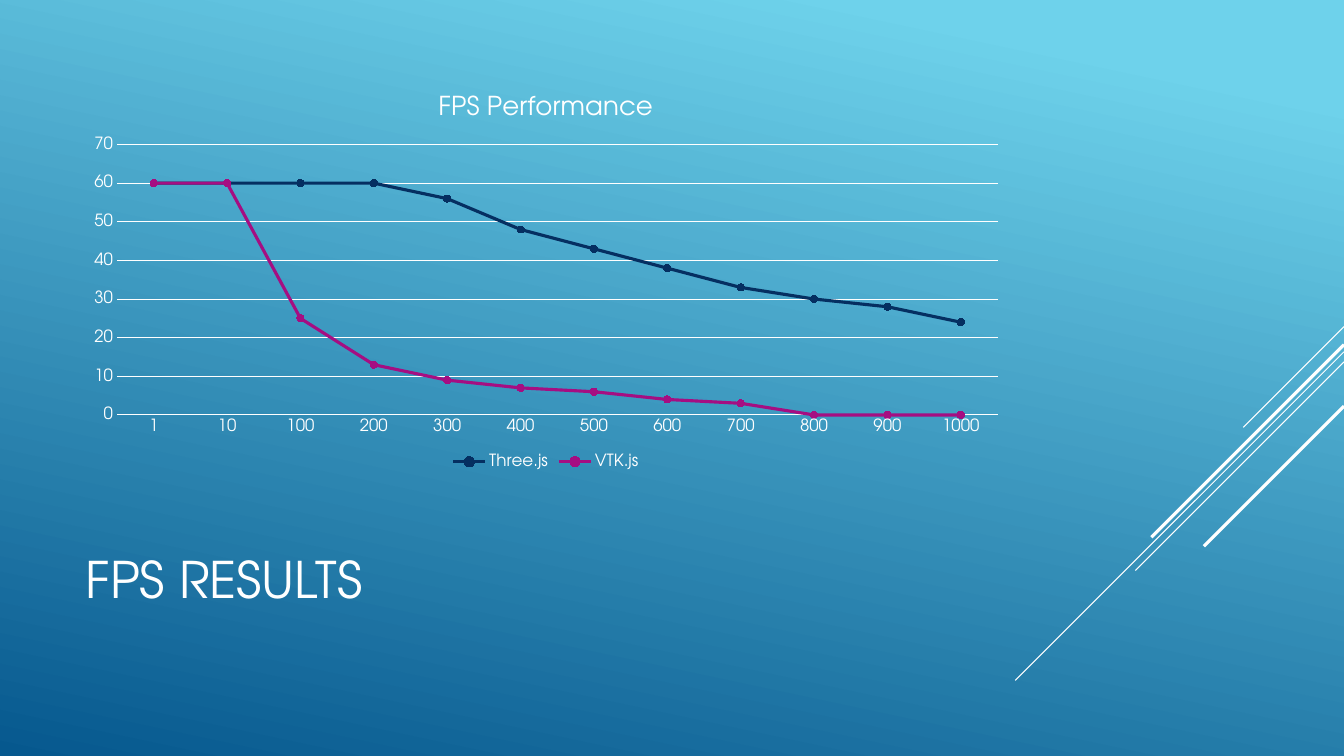
from pptx import Presentation
from pptx.chart.data import CategoryChartData as Data
from pptx.dml.color import RGBColor
from pptx.enum.chart import XL_CHART_TYPE as Kind, XL_LEGEND_POSITION as Spot
from pptx.enum.chart import XL_MARKER_STYLE as Mark, XL_TICK_MARK as Tick
from pptx.enum.shapes import MSO_CONNECTOR as Link
from pptx.enum.text import MSO_ANCHOR as Anchor, MSO_AUTO_SIZE as Fit, PP_ALIGN as Align
from pptx.oxml.ns import qn
from pptx.util import Inches, Pt
from lxml.etree import SubElement

FACE, WHITE = "TeX Gyre Adventor", "FFFFFF"
WIDE, HIGH = 13.33, 7.5
CATS = ["1", "10"] + [str(n) for n in range(100, 1001, 100)]
RATES = [
    ("Three.js", "052F61", [60, 60, 60, 60, 56, 48, 43, 38, 33, 30, 28, 24]),
    ("VTK.js", "A50E82", [60, 60, 25, 13, 9, 7, 6, 4, 3, 0, 0, 0]),
]
RAYS = [(3.24, 1, 0.75), (3.49, 3.26, 0.75), (3.59, 2.07, 0.75),
        (3.42, 1.91, 2.25), (4.03, 1.39, 2.25)]


def paint(item, tone):
    """Set a colour from a hex string on a font, line or fill."""
    if hasattr(item, "solid"):
        item.solid()
        item.fore_color.rgb = RGBColor.from_string(tone)
    else:
        item.color.rgb = RGBColor.from_string(tone)


def style(font, size):
    """Give a font the deck's face and white colour."""
    font.name, font.size, font.bold = FACE, Pt(size), False
    paint(font, WHITE)


def stroke(line, tone, width):
    """Give a line its colour and width in points."""
    paint(line, tone)
    line.width = Pt(width)


def backdrop(slide):
    """Fill the background with a blue gradient."""
    fill = slide.background.fill
    fill.gradient()
    fill.gradient_angle = 258
    for stop, (place, tone) in zip(fill.gradient_stops, [(0.1, "6ED2EB"), (1, "06588E")]):
        stop.position = place
        paint(stop, tone)


def rays(slide, edge):
    """Draw the diagonal lines that fall to the left from the given edge."""
    for top, run, width in RAYS:
        ray = slide.shapes.add_connector(
            Link.STRAIGHT, Inches(edge), Inches(top), Inches(edge - run), Inches(top + run))
        stroke(ray.line, WHITE, width)
        SubElement(ray._element.spPr, qn("a:effectLst"))


def heading(slide, text, box):
    """Place and format the title in its box."""
    title = slide.shapes.title
    title.left, title.top, title.width, title.height = map(Inches, box)
    frame = title.text_frame
    frame.text = text
    frame.auto_size, frame.word_wrap = Fit.NONE, True
    frame.vertical_anchor = Anchor.MIDDLE
    frame.paragraphs[0].alignment = Align.LEFT
    style(frame.paragraphs[0].runs[0].font, 36)


def graph(slide, text, box):
    """Add the line chart of frame rates in its box."""
    data = Data()
    data.categories = CATS
    for name, _, rates in RATES:
        data.add_series(name, rates)
    chart = slide.shapes.add_chart(Kind.LINE_MARKERS, *map(Inches, box), data).chart
    style(chart.font, 10)
    label = chart.chart_title.text_frame
    label.text = text
    style(label.paragraphs[0].runs[0].font, 18.6)
    chart.has_legend = True
    chart.legend.position = Spot.BOTTOM
    chart.legend.include_in_layout = False
    style(chart.legend.font, 12)
    cat, val = chart.category_axis, chart.value_axis
    for axis in (cat, val):
        axis.major_tick_mark = axis.minor_tick_mark = Tick.NONE
        style(axis.tick_labels.font, 12)
    stroke(cat.format.line, WHITE, 0.75)
    val.format.line.fill.background()
    stroke(val.major_gridlines.format.line, WHITE, 0.75)
    val.minimum_scale, val.maximum_scale, val.major_unit = 0, 70, 10
    plot = chart.plots[0]
    plot.vary_by_categories = False
    for series, (_, tone, _) in zip(plot.series, RATES):
        series.smooth = False
        stroke(series.format.line, tone, 2.25)
        mark = series.marker
        mark.style, mark.size = Mark.CIRCLE, 5
        paint(mark.format.fill, tone)
        stroke(mark.format.line, tone, 0.75)


def main():
    """Build and save the slide."""
    deck = Presentation()
    deck.slide_width, deck.slide_height = Inches(WIDE), Inches(HIGH)
    slide = deck.slides.add_slide(deck.slide_layouts[5])
    backdrop(slide)
    rays(slide, WIDE)
    heading(slide, "FPS RESULTS", (0.75, 4.91, 9.33, 1.65))
    graph(slide, "FPS Performance", (0.75, 0.75, 9.33, 3.95))
    deck.save("out.pptx")


main()
